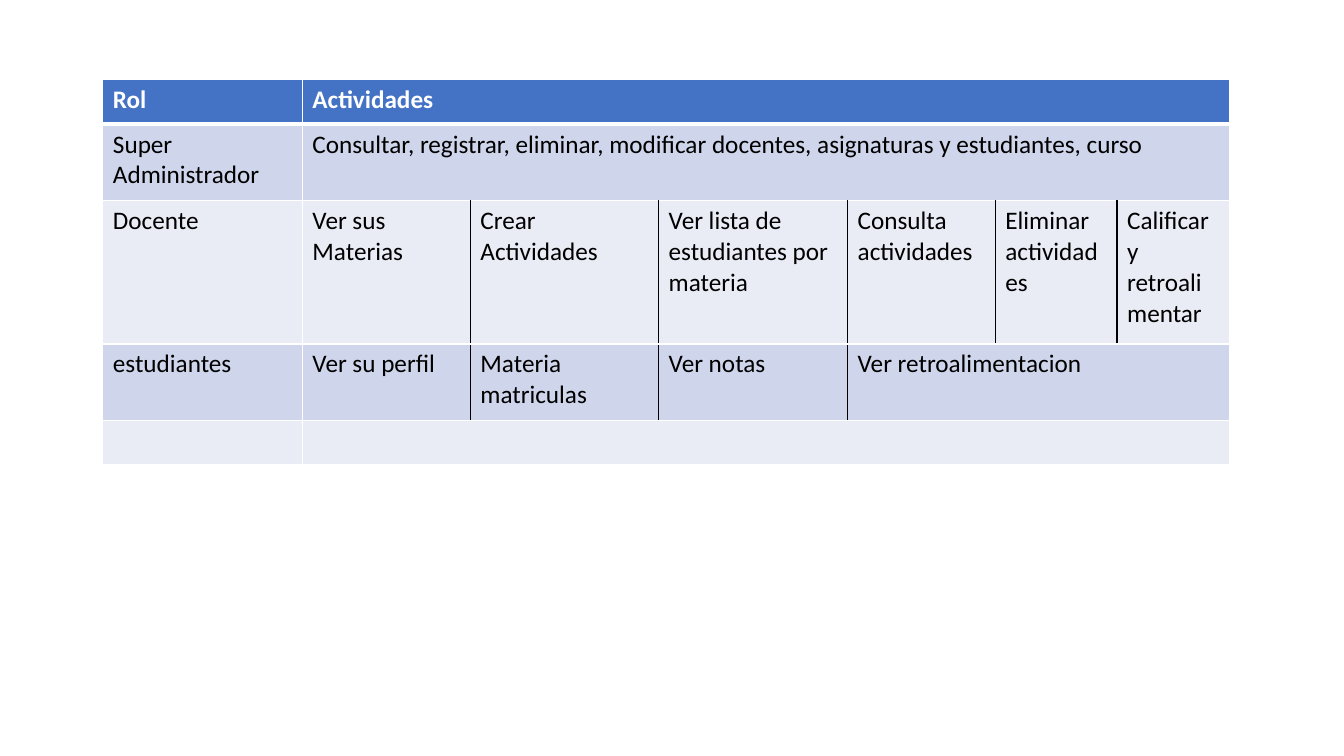
from lxml import etree
from pptx import Presentation
from pptx.dml.color import RGBColor
from pptx.oxml.ns import qn
from pptx.util import Pt

COLORS = {
    "header": "4472C4",
    "dark_band": "CFD5EA",
    "light_band": "E9EBF5",
    "white": "FFFFFF",
    "black": "000000",
}
COLUMN_WIDTHS = [142.5, 120, 134.5, 135, 105.5, 87, 80.5]
ROW_HEIGHTS = [31.7, 54.7, 102.3, 54.7, 31.7]
ROLES = [
    ("Rol", ["Actividades"]),
    ("Super Administrador", [
        "Consultar, registrar, eliminar, modificar docentes, "
        "asignaturas y estudiantes, curso",
    ]),
    ("Docente", [
        "Ver sus Materias",
        "Crear \nActividades",
        "Ver lista de estudiantes por materia",
        "Consulta actividades",
        "Eliminar actividades",
        "Calificar y retroalimentar",
    ]),
    ("estudiantes", [
        "Ver su perfil", "Materia matriculas", "Ver notas",
        "Ver retroalimentacion",
    ]),
    ("", [""]),
]


def rgb(color):
    return RGBColor.from_string(COLORS[color])


def add_border(cell, side, color, width):
    border = etree.SubElement(
        cell._tc.get_or_add_tcPr(), qn(f"a:ln{side}"), w=str(Pt(width)))
    fill = etree.SubElement(border, qn("a:solidFill"))
    etree.SubElement(fill, qn("a:srgbClr"), val=COLORS[color])


def style_cell(cell, band, borders):
    for side, (color, width) in borders.items():
        add_border(cell, side, color, width)
    cell.fill.solid()
    cell.fill.fore_color.rgb = rgb(band)


def write_cell(cell, text, is_header):
    cell.text = text
    for paragraph in cell.text_frame.paragraphs:
        paragraph.font.name = "Calibri"
        paragraph.font.size = Pt(18)
        paragraph.font.bold = is_header
        paragraph.font.color.rgb = rgb("white" if is_header else "black")


def add_roles_table(slide, left, top, width, height):
    roles_table = slide.shapes.add_table(
        len(ROLES), len(COLUMN_WIDTHS),
        Pt(left), Pt(top), Pt(width), Pt(height)).table
    for column, share in zip(roles_table.columns, COLUMN_WIDTHS):
        column.width = Pt(share * width / sum(COLUMN_WIDTHS))
    for row, share in zip(roles_table.rows, ROW_HEIGHTS):
        row.height = Pt(share * height / sum(ROW_HEIGHTS))

    last_column = len(COLUMN_WIDTHS) - 1
    for row, (role, activities) in enumerate(ROLES):
        is_header = row == 0
        band = "header" if is_header else ("light_band", "dark_band")[row % 2]
        last_activity = len(activities)
        for column in range(last_column + 1):
            divides_left = 1 < column <= last_activity
            divides_right = 0 < column < last_activity
            style_cell(roles_table.cell(row, column), band, {
                "L": ("black" if divides_left else "white", 1),
                "R": ("black" if divides_right else "white", 1),
                "T": ("white", 3 if row == 1 else 1),
                "B": ("white", 3 if is_header else 1),
            })
        for column, text in enumerate([role, *activities]):
            write_cell(roles_table.cell(row, column), text, is_header)
        if last_activity < last_column:
            roles_table.cell(row, last_activity).merge(
                roles_table.cell(row, last_column))


presentation = Presentation()
presentation.slide_width = Pt(960)
presentation.slide_height = Pt(540)
slide = presentation.slides.add_slide(presentation.slide_layouts[6])
add_roles_table(slide, 73.5, 57, sum(COLUMN_WIDTHS), sum(ROW_HEIGHTS))
presentation.save("out.pptx")
